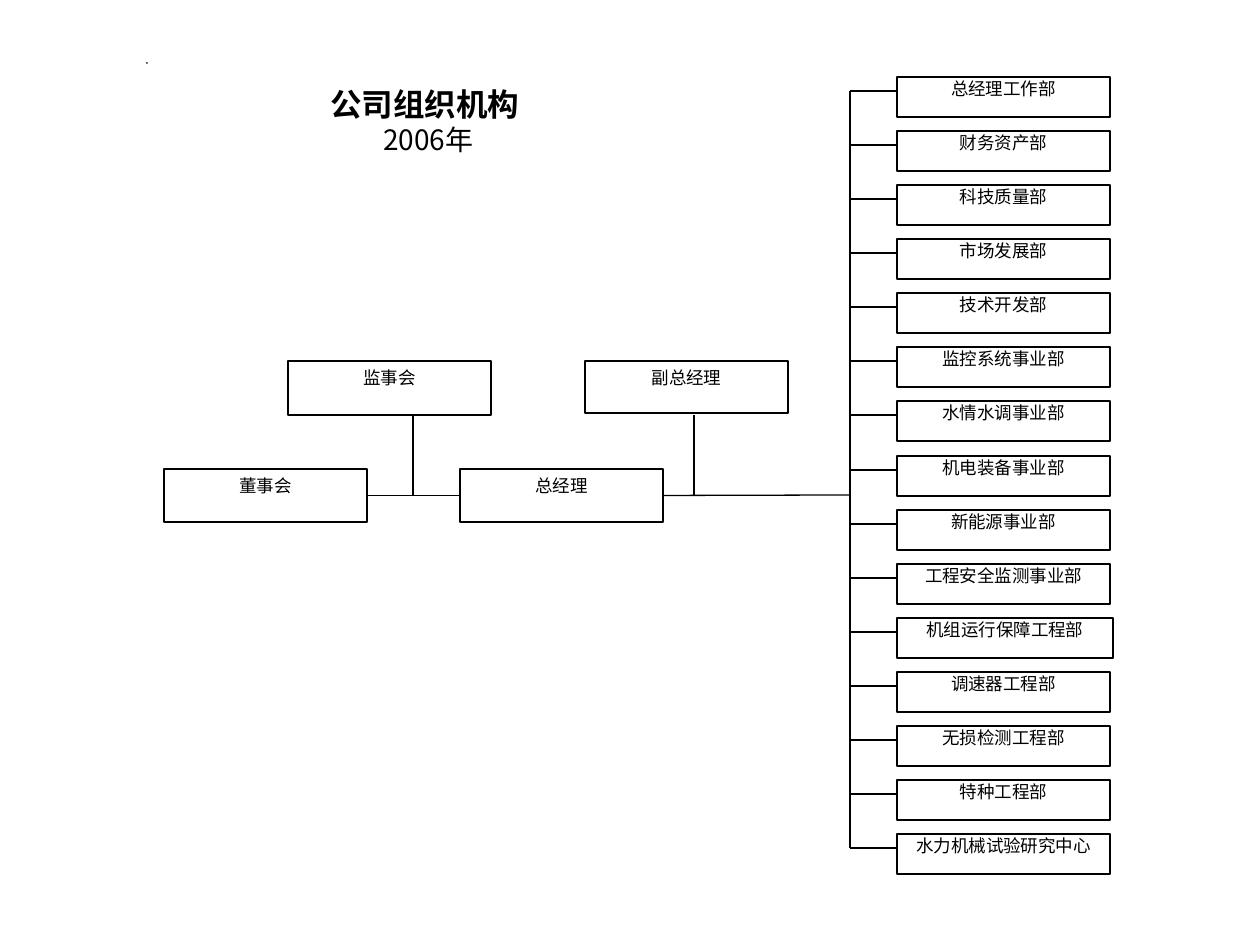
"""Build a company organisation chart slide."""
import dataclasses

import lxml.etree
import pptx
import pptx.dml.color
import pptx.enum.shapes
import pptx.enum.text
import pptx.oxml.ns
import pptx.util

PX = 914400 / 126
DEPARTMENTS = [
    "总经理工作部", "财务资产部", "科技质量部", "市场发展部", "技术开发部",
    "监控系统事业部", "水情水调事业部", "机电装备事业部", "新能源事业部",
    "工程安全监测事业部", "机组运行保障工程部", "调速器工程部",
    "无损检测工程部", "特种工程部", "水力机械试验研究中心",
]
WIDE_DEPARTMENT = "机组运行保障工程部"


@dataclasses.dataclass
class Theme:
    ink: str = "000000"
    paper: str = "FFFFFF"
    accent: str = "4F81BD"
    font: str = "Noto Sans CJK SC"
    title: int = 18
    subtitle: int = 16
    body: int = 10
    line: float = 0.75


def emu(px):
    return pptx.util.Emu(round(px * PX))


def rgb(value):
    return pptx.dml.color.RGBColor.from_string(value)


def write(p, text, *, font, size, color, bold=False):
    p.alignment = pptx.enum.text.PP_ALIGN.CENTER
    r = p.add_run()
    r.text = text
    r.font.name = font
    r.font.size = pptx.util.Pt(size)
    r.font.bold = bold
    r.font.color.rgb = rgb(color)
    ea = lxml.etree.SubElement(r.font._element, pptx.oxml.ns.qn("a:ea"))
    ea.set("typeface", font)


class Chart:
    def __init__(self, s, theme):
        self.s = s
        self.theme = theme

    def rect(self, x, y, w, h, fill, line):
        kind = pptx.enum.shapes.MSO_SHAPE.RECTANGLE
        sp = self.s.shapes.add_shape(kind, emu(x), emu(y), emu(w), emu(h))
        sp.shadow.inherit = False
        sp.fill.solid()
        sp.fill.fore_color.rgb = rgb(fill)
        sp.line.color.rgb = rgb(line)
        sp.line.width = pptx.util.Pt(self.theme.line)
        return sp

    def frame(self, sp, insets):
        tf = sp.text_frame
        tf.word_wrap = True
        tf.vertical_anchor = pptx.enum.text.MSO_ANCHOR.TOP
        tf.margin_left, tf.margin_top, tf.margin_right, tf.margin_bottom = map(emu, insets)
        return tf

    def box(self, text, x, y, w, h, insets=(13, 6, 13, 6)):
        t = self.theme
        sp = self.rect(x, y, w, h, t.paper, t.ink)
        tf = self.frame(sp, insets)
        write(tf.paragraphs[0], text, font=t.font, size=t.body, color=t.ink)
        return sp

    def heading(self, title, subtitle, x, y, w, h):
        t = self.theme
        sp = self.rect(x, y, w, h, t.paper, t.paper)
        tf = self.frame(sp, (13, 6, 13, 6))
        tf.auto_size = pptx.enum.text.MSO_AUTO_SIZE.SHAPE_TO_FIT_TEXT
        write(tf.paragraphs[0], title, font=t.font, size=t.title, color=t.ink, bold=True)
        write(tf.add_paragraph(), subtitle, font=t.font, size=t.subtitle, color=t.ink)

    def line(self, x1, y1, x2, y2, begin=None, end=None):
        kind = pptx.enum.shapes.MSO_CONNECTOR.STRAIGHT
        c = self.s.shapes.add_connector(kind, emu(x1), emu(y1), emu(x2), emu(y2))
        c.line.color.rgb = rgb(self.theme.ink)
        c.line.width = pptx.util.Pt(self.theme.line)
        lxml.etree.SubElement(c._element.spPr, pptx.oxml.ns.qn("a:effectLst"))
        if begin:
            c.begin_connect(*begin)
        if end:
            c.end_connect(*end)


def main():
    prs = pptx.Presentation()
    prs.slide_width, prs.slide_height = emu(1260), emu(945)
    theme = Theme()
    chart = Chart(prs.slides.add_slide(prs.slide_layouts[6]), theme)

    chart.heading("公司组织机构 ", "2006年", 227, 79, 403, 84)

    chart.box("监事会", 288, 361, 203, 54, insets=(3, 6, 3, 1))
    chart.box("副总经理", 585, 361, 203, 52)
    board = chart.box("董事会", 164, 469, 203, 53)
    manager = chart.box("总经理", 460, 469, 203, 53)

    axis, spine = 495, 850
    chart.line(367, axis, 460, axis, begin=(board, 3), end=(manager, 1))
    chart.line(663, axis, spine, axis, begin=(manager, 3))
    for x in (413, 694):
        chart.line(x, 415, x, axis)

    left, first, last, drop = 897, 77, 834, 14
    step = (last - first) / (len(DEPARTMENTS) - 1)
    chart.line(spine, first + drop, spine, last + drop)
    for i, name in enumerate(DEPARTMENTS):
        y = round(first + i * step)
        width = 216 if name == WIDE_DEPARTMENT else 213
        chart.line(spine, y + drop, left, y + drop)
        chart.box(name, left, y, width, 40, insets=(13, 1, 13, 1))

    chart.rect(147, 63, 0, 0, theme.accent, theme.ink)
    prs.save("out.pptx")


if __name__ == "__main__":
    main()
